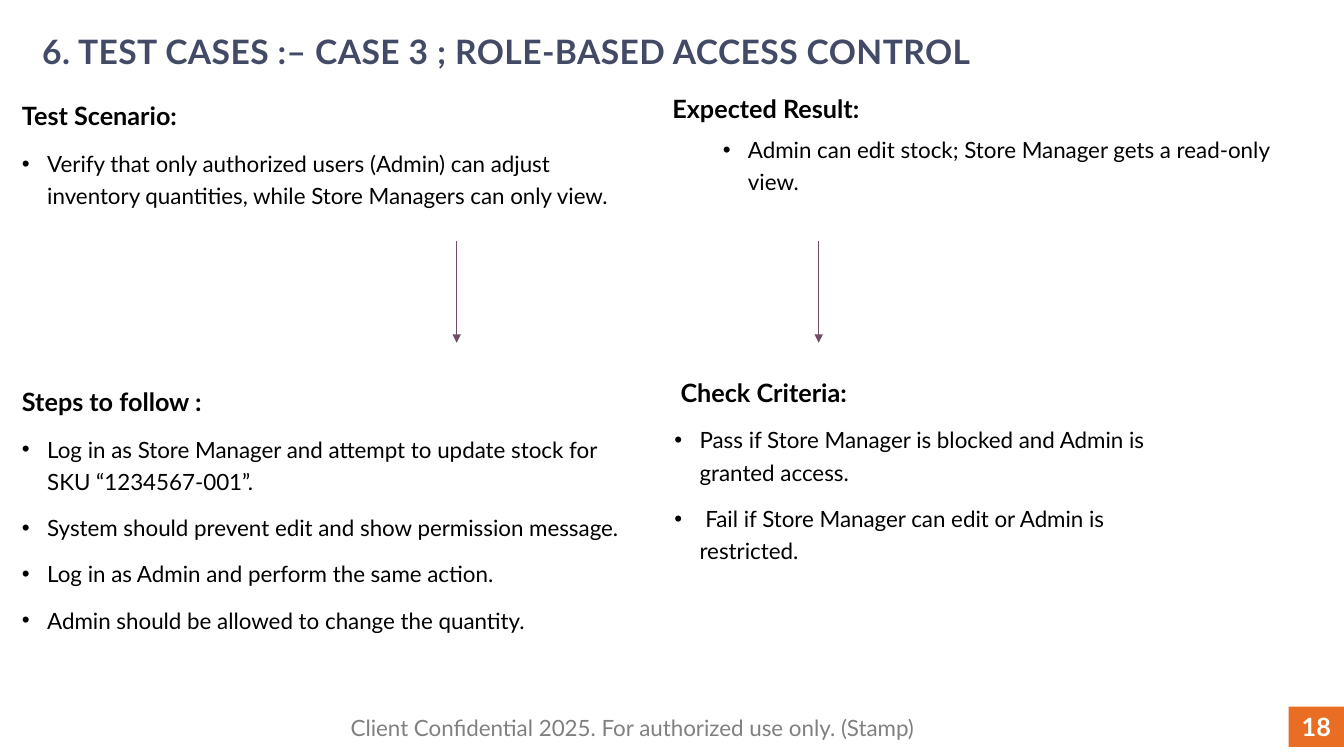
"""Build the role-based access control test case slide."""
from dataclasses import dataclass

from lxml import etree
from pptx import Presentation
from pptx.dml.color import RGBColor
from pptx.enum.shapes import MSO_CONNECTOR, MSO_SHAPE
from pptx.enum.text import MSO_ANCHOR, PP_ALIGN
from pptx.oxml.ns import qn
from pptx.util import Inches, Pt

STRAIGHT = MSO_CONNECTOR.STRAIGHT
RECTANGLE = MSO_SHAPE.RECTANGLE
TOP, MIDDLE = MSO_ANCHOR.TOP, MSO_ANCHOR.MIDDLE
LEFT, CENTER = PP_ALIGN.LEFT, PP_ALIGN.CENTER
FONT = "Lato"
COLORS = {
    "title": "424A66",
    "body": "000000",
    "footer": "808080",
    "badge": "E96E23",
    "badge_text": "FFFFFF",
    "arrow": "734B67",
}


@dataclass(frozen=True)
class Line:
    text: str
    size: float = 16
    color: str = "body"
    bold: bool = False
    align: PP_ALIGN = LEFT
    spacing: float = 1.0
    before: float = 0
    bullet_indent: float = 0
    tracking: float = 0


@dataclass(frozen=True)
class Box:
    left: float
    top: float
    width: float
    height: float
    lines: tuple[Line, ...]
    anchor: MSO_ANCHOR = TOP
    fill: str = ""


def heading(text: str, spacing: float = 1.0, before: float = 0) -> Line:
    return Line(text, 18, bold=True, spacing=spacing, before=before)


def bullet(text: str, before: float = 10, indent: float = 0.25) -> Line:
    return Line(text, spacing=1.2, before=before, bullet_indent=indent)


BOXES = (
    Box(0.32, 0.26, 13.02, 0.46, (
        Line("6. TEST CASES :– CASE 3 ; ROLE-BASED ACCESS CONTROL", 24, "title", True, tracking=0.3),
    )),
    Box(12.78, 7.01, 0.55, 0.4, (
        Line("18", 18, "badge_text", True, CENTER),
    ), MIDDLE, "badge"),
    Box(0.12, 0.89, 6.3, 5.81, (
        heading("Test Scenario:", 1.2, 10),
        bullet("Verify that only authorized users (Admin) can adjust inventory quantities, "
               "while Store Managers can only view."),
        heading("Steps to follow :", 1.2, 122),
        bullet("Log in as Store Manager and attempt to update stock for SKU “1234567-001”."),
        bullet("System should prevent edit and show permission message."),
        bullet("Log in as Admin and perform the same action."),
        bullet("Admin should be allowed to change the quantity."),
    )),
    Box(6.59, 3.69, 5.21, 1.96, (
        heading(" Check Criteria:"),
        bullet("Pass if Store Manager is blocked and Admin is granted access."),
        bullet(" Fail if Store Manager can edit or Admin is restricted."),
    )),
    Box(6.57, 0.88, 6.65, 0.78, (
        heading("Expected Result:"),
        bullet("Admin can edit stock; Store Manager gets a read-only view.", 5, 0.75),
    )),
    Box(3.38, 7.02, 6.5, 0.4, (
        Line("Client Confidential 2025. For authorized use only. (Stamp)", color="footer"),
    ), MIDDLE),
)
ARROW_LEFTS = (4.53, 8.12)
ARROW_TOP, ARROW_BOTTOM = 2.39, 3.4


def color(name: str) -> RGBColor:
    return RGBColor.from_string(COLORS[name])


def write_line(paragraph, line: Line) -> None:
    paragraph.alignment = line.align
    paragraph.line_spacing = line.spacing
    paragraph.space_before = Pt(line.before)
    if line.bullet_indent:
        properties = paragraph._p.get_or_add_pPr()
        properties.set("marL", str(Inches(line.bullet_indent)))
        properties.set("indent", str(Inches(-0.25)))
        etree.SubElement(properties, qn("a:buFont")).set("typeface", "Arial")
        etree.SubElement(properties, qn("a:buChar")).set("char", "•")
    run = paragraph.add_run()
    run.text = line.text
    run.font.name = FONT
    run.font.size = Pt(line.size)
    run.font.bold = line.bold
    run.font.color.rgb = color(line.color)
    if line.tracking:
        run._r.get_or_add_rPr().set("spc", str(round(line.tracking * 100)))


def draw_box(slide, box: Box) -> None:
    bounds = [Inches(value) for value in (box.left, box.top, box.width, box.height)]
    if box.fill:
        shape = slide.shapes.add_shape(RECTANGLE, *bounds)
        shape.shadow.inherit = False
        shape.fill.solid()
        shape.fill.fore_color.rgb = color(box.fill)
        shape.line.fill.background()
    else:
        shape = slide.shapes.add_textbox(*bounds)
    frame = shape.text_frame
    frame.word_wrap = True
    frame.vertical_anchor = box.anchor
    for index, line in enumerate(box.lines):
        write_line(frame.add_paragraph() if index else frame.paragraphs[0], line)


def draw_arrow(slide, left: float) -> None:
    arrow = slide.shapes.add_connector(
        STRAIGHT, Inches(left), Inches(ARROW_TOP), Inches(left), Inches(ARROW_BOTTOM))
    arrow.line.color.rgb = color("arrow")
    arrow.line.width = Pt(0.5)
    etree.SubElement(arrow.line._get_or_add_ln(), qn("a:tailEnd")).set("type", "triangle")
    etree.SubElement(arrow._element.spPr, qn("a:effectLst"))


def main() -> None:
    presentation = Presentation()
    presentation.slide_width = Inches(13.33)
    presentation.slide_height = Inches(7.5)
    slide = presentation.slides.add_slide(presentation.slide_layouts[6])
    for box in BOXES:
        draw_box(slide, box)
    for left in ARROW_LEFTS:
        draw_arrow(slide, left)
    presentation.save("out.pptx")


if __name__ == "__main__":
    main()
